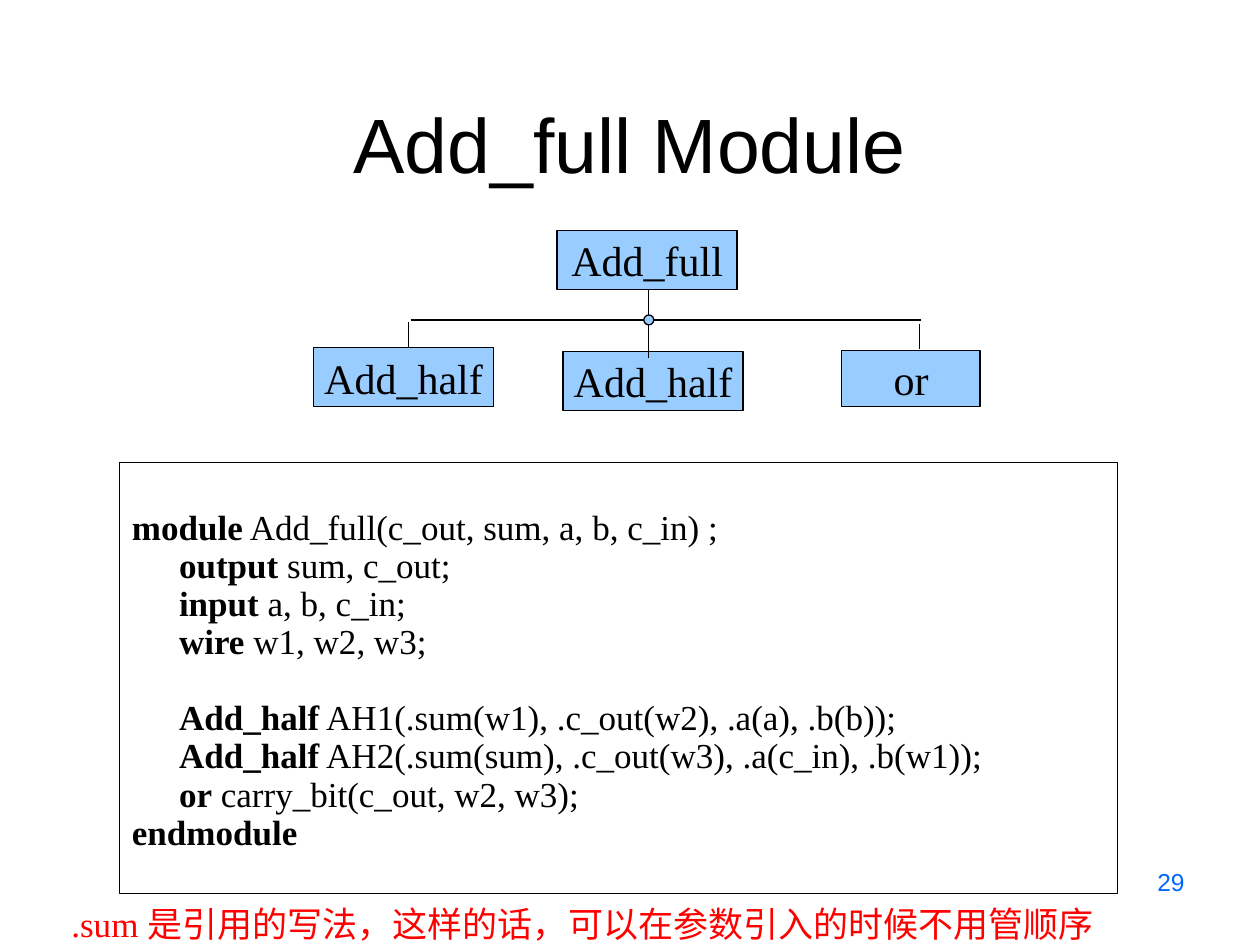
from lxml import etree
from pptx import Presentation
from pptx import util as u
from pptx.dml.color import RGBColor
from pptx.enum import shapes, text
from pptx.oxml.ns import qn

BLACK = RGBColor(0x00, 0x00, 0x00)
SKY = RGBColor(0x99, 0xCC, 0xFF)
BLUE = RGBColor(0x00, 0x66, 0xFF)
RED = RGBColor(0xFF, 0x00, 0x00)
SERIF, SANS = "Times New Roman", "Arial"
LINE_W = u.Pt(0.75)
CODE_PITCH = u.Pt(21.8)

CODE = [
    (0, "module", " Add_full(c_out, sum, a, b, c_in) ;"),
    (1, "output", " sum, c_out;"),
    (1, "input", " a, b, c_in;"),
    (1, "wire", " w1, w2, w3;"),
    (1, "Add_half", " AH1(.sum(w1), .c_out(w2), .a(a), .b(b));"),
    (1, "Add_half", " AH2(.sum(sum), .c_out(w3), .a(c_in), .b(w1));"),
    (1, "or", " carry_bit(c_out, w2, w3);"),
    (0, "endmodule", ""),
]
FIRST_INSTANCE = 4

MODULES = [
    ("Add_full", 4.91, 0, 3.63, 1.19),
    ("Add_half", 5.03, 2.44, 3.63, 1.19),
    ("or", 10.65, 2.41, 2.79, 1.14),
    ("Add_half", 0, 2.36, 3.63, 1.19),
]
WIRES = [
    (6.76, 1.19, 6.76, 2.57),
    (1.91, 2.36, 1.91, 1.85),
    (12.22, 2.39, 12.22, 1.88),
    (1.96, 1.8, 12.24, 1.8),
]
JOINT = (6.66, 1.7, 0.2, 0.2)


def cm(*values):
    return [u.Cm(v) for v in values]


def set_font(p, name, size, color):
    p.font.name = name
    p.font.size = u.Pt(size)
    p.font.color.rgb = color


def add_outlined(s, kind, box, fill=None):
    sp = s.shapes.add_shape(kind, *cm(*box))
    sp.shadow.inherit = False
    if fill is None:
        sp.fill.background()
    else:
        sp.fill.solid()
        sp.fill.fore_color.rgb = fill
    sp.line.color.rgb = BLACK
    sp.line.width = LINE_W
    return sp


def add_title(s, box):
    sp = s.shapes.title
    sp.left, sp.top, sp.width, sp.height = cm(*box)
    tf = sp.text_frame
    tf.vertical_anchor = text.MSO_ANCHOR.BOTTOM
    tf.text = "Add_full Module"
    p = tf.paragraphs[0]
    p.alignment = text.PP_ALIGN.CENTER
    set_font(p, SANS, 44, BLACK)


def add_code(s, box):
    tf = add_outlined(s, shapes.MSO_SHAPE.RECTANGLE, box).text_frame
    tf.word_wrap = True
    tf.vertical_anchor = text.MSO_ANCHOR.TOP
    tf.margin_top = u.Cm(0.94)
    for i, (level, keyword, rest) in enumerate(CODE):
        p = tf.add_paragraph() if i else tf.paragraphs[0]
        p._p.get_or_add_pPr().set("marL", str(u.Cm(0.95 * level)))
        p.alignment = text.PP_ALIGN.LEFT
        p.line_spacing = CODE_PITCH
        if i == FIRST_INSTANCE:
            p.space_before = CODE_PITCH
        set_font(p, SERIF, 20, BLACK)
        r = p.add_run()
        r.text = keyword
        r.font.bold = True
        if rest:
            p.add_run().text = rest


def add_tree(s, left, top):
    for name, x, y, w, h in MODULES:
        sp = add_outlined(s, shapes.MSO_SHAPE.RECTANGLE, (left + x, top + y, w, h), SKY)
        tf = sp.text_frame
        tf.word_wrap = False
        tf.vertical_anchor = text.MSO_ANCHOR.MIDDLE
        tf.text = name
        p = tf.paragraphs[0]
        p.alignment = text.PP_ALIGN.CENTER
        set_font(p, SERIF, 24, BLACK)
    for x1, y1, x2, y2 in WIRES:
        ends = cm(left + x1, top + y1, left + x2, top + y2)
        cx = s.shapes.add_connector(shapes.MSO_CONNECTOR.STRAIGHT, *ends)
        cx.line.color.rgb = BLACK
        cx.line.width = LINE_W
        etree.SubElement(cx._element.spPr, qn("a:effectLst"))
    x, y, w, h = JOINT
    add_outlined(s, shapes.MSO_SHAPE.OVAL, (left + x, top + y, w, h), SKY)


def add_label(s, box, words, align, name, size, color):
    tf = s.shapes.add_textbox(*cm(*box)).text_frame
    tf.word_wrap = True
    tf.text = words
    p = tf.paragraphs[0]
    p.alignment = align
    set_font(p, name, size, color)


def main():
    prs = Presentation()
    prs.slide_width, prs.slide_height = cm(25.4, 19.05)
    s = prs.slides.add_slide(prs.slide_layouts[5])
    add_title(s, (1.27, 0.76, 22.86, 3.18))
    add_code(s, (2.41, 9.32, 20.12, 8.69))
    add_tree(s, 6.32, 4.65)
    add_label(s, (18.21, 17.35, 5.92, 1.32), "29", text.PP_ALIGN.RIGHT, SANS, 14, BLUE)
    add_label(s, (1.19, 18.06, 25.4, 1.12),
              ".sum 是引用的写法，这样的话，可以在参数引入的时候不用管顺序",
              text.PP_ALIGN.LEFT, SERIF, 20, RED)
    prs.save("out.pptx")


if __name__ == "__main__":
    main()
